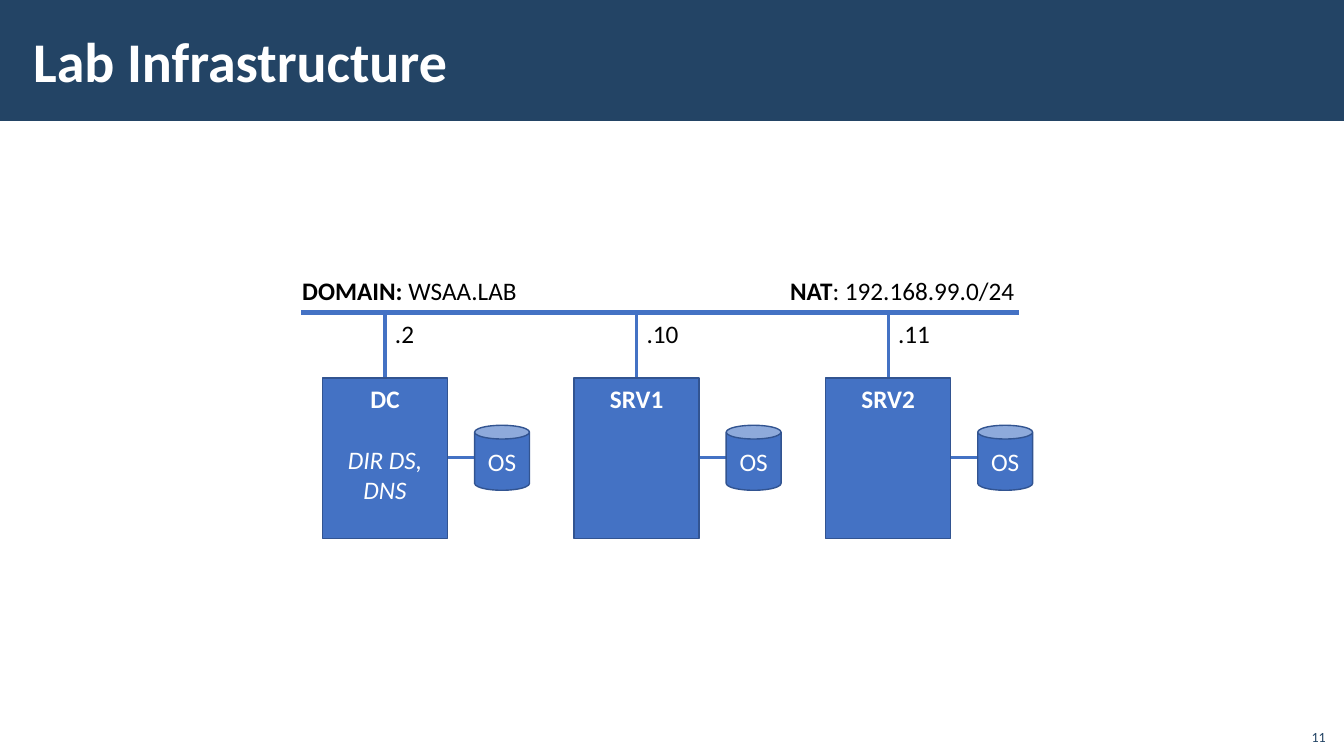
"""Build the Lab Infrastructure slide: three servers on one network."""
from lxml import etree
from pptx import Presentation
from pptx.dml.color import RGBColor
from pptx.enum.shapes import MSO_CONNECTOR, MSO_SHAPE
from pptx.enum.text import MSO_ANCHOR, MSO_AUTO_SIZE, PP_ALIGN
from pptx.oxml.ns import qn
from pptx.util import Pt

RECT, CAN, LINE = MSO_SHAPE.RECTANGLE, MSO_SHAPE.CAN, MSO_CONNECTOR.STRAIGHT
TOP, MIDDLE, BOTTOM = MSO_ANCHOR.TOP, MSO_ANCHOR.MIDDLE, MSO_ANCHOR.BOTTOM
LEFT, CENTER, RIGHT = PP_ALIGN.LEFT, PP_ALIGN.CENTER, PP_ALIGN.RIGHT
FIT = MSO_AUTO_SIZE.SHAPE_TO_FIT_TEXT
NAVY = RGBColor(0x23, 0x44, 0x65)
BLUE = RGBColor(0x44, 0x72, 0xC4)
EDGE = RGBColor(0x32, 0x54, 0x91)
WHITE = RGBColor(0xFF, 0xFF, 0xFF)
BLACK = RGBColor(0, 0, 0)
FONT = "Calibri"

TITLE = "Lab Infrastructure"
PAGE = "11"
DISK = "OS"
NETS = [
    ("DOMAIN: ", "WSAA.LAB", 208.8, 169.2),
    ("NAT", ": 192.168.99.0/24", 557.3, 176.4),
]
HOSTS = [
    ("DC", "DIR DS, DNS", ".2", 28.1),
    ("SRV1", "", ".10", 37.4),
    ("SRV2", "", ".11", 37.4),
]

WIDE, HIGH = 960, 540
BAR_H = 86.4
BUS_X, BUS_END, BUS_Y = 215.3, 727.9, 223.2
HOST_X, HOST_Y, HOST_W, HOST_H = 230.4, 270, 89.3, 114.7
PITCH = 179.7
DISK_GAP, DISK_W, DISK_H = 19.3, 39.2, 46.4
DISK_Y = 303.8
TAG_H = 28.8


def style(para, size, color, align=LEFT):
    para.alignment = align
    font = para.font
    font.name, font.size, font.color.rgb = FONT, Pt(size), color


def shape(kind, x, y, w, h, fill, edge=None):
    item = slide.shapes.add_shape(kind, Pt(x), Pt(y), Pt(w), Pt(h))
    item.shadow.inherit = False
    item.fill.solid()
    item.fill.fore_color.rgb = fill
    if edge is None:
        item.line.fill.background()
    else:
        item.line.color.rgb, item.line.width = edge, Pt(1)
    return item


def label(x, y, w, h):
    frame = slide.shapes.add_textbox(Pt(x), Pt(y), Pt(w), Pt(h)).text_frame
    frame.word_wrap, frame.auto_size = False, FIT
    style(frame.paragraphs[0], 18, BLACK)
    return frame.paragraphs[0]


def wire(x1, y1, x2, y2, width=2.25):
    line = slide.shapes.add_connector(LINE, Pt(x1), Pt(y1), Pt(x2), Pt(y2))
    line.line.color.rgb, line.line.width = BLUE, Pt(width)
    etree.SubElement(line.element.spPr, qn("a:effectLst"))


def draw_host(x, name, role, addr, tag_w):
    mid, disk_x = x + HOST_W / 2, x + HOST_W + DISK_GAP
    disk_mid = DISK_Y + DISK_H / 2
    wire(mid, HOST_Y, mid, BUS_Y)
    wire(disk_x, disk_mid, x + HOST_W, disk_mid)

    frame = shape(RECT, x, HOST_Y, HOST_W, HOST_H, BLUE, EDGE).text_frame
    frame.vertical_anchor = TOP
    head = frame.paragraphs[0]
    head.text, head.font.bold = name, True
    style(head, 18, WHITE, CENTER)
    if role:
        note = frame.add_paragraph()
        note.text, note.font.italic = role, True
        note.space_before = Pt(22)
        style(note, 18, WHITE, CENTER)

    disk = shape(CAN, disk_x, DISK_Y, DISK_W, DISK_H, BLUE, EDGE).text_frame
    disk.text, disk.vertical_anchor = DISK, MIDDLE
    style(disk.paragraphs[0], 18, WHITE, CENTER)
    label(mid, BUS_Y + 0.7, tag_w, TAG_H).text = addr


deck = Presentation()
deck.slide_width, deck.slide_height = Pt(WIDE), Pt(HIGH)
slide = deck.slides.add_slide(deck.slide_layouts[5])

title = slide.shapes.title
title.left, title.top, title.width, title.height = Pt(15.1), Pt(7.9), Pt(765.4), Pt(69.8)
title.element.addprevious(shape(RECT, 0, 0, WIDE, BAR_H, NAVY).element)
frame = title.text_frame
frame.text, frame.vertical_anchor = TITLE, MIDDLE
frame.margin_left = frame.margin_right = Pt(8.6)
frame.margin_top = frame.margin_bottom = Pt(2.9)
style(frame.paragraphs[0], 40, WHITE)
frame.paragraphs[0].font.bold = True

wire(BUS_X, BUS_Y, BUS_END, BUS_Y, 3)
for name, value, x, w in NETS:
    para = label(x, 193, w, TAG_H)
    key = para.add_run()
    key.text, key.font.bold = name, True
    para.add_run().text = value
for i, host in enumerate(HOSTS):
    draw_host(HOST_X + i * PITCH, *host)

page = slide.shapes.add_textbox(Pt(925.2), Pt(512.6), Pt(28.8), Pt(23)).text_frame
page.text, page.vertical_anchor, page.word_wrap = PAGE, BOTTOM, True
style(page.paragraphs[0], 10, NAVY, RIGHT)

deck.save("out.pptx")
